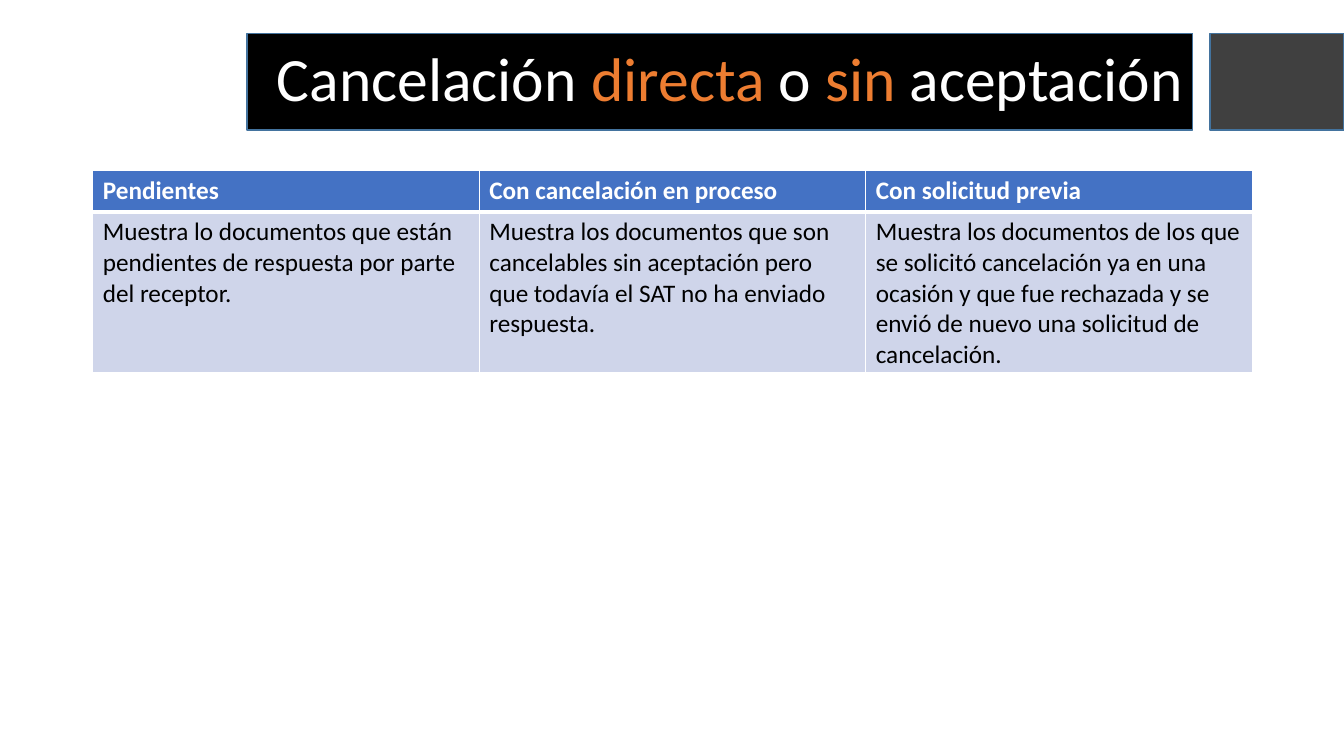
from lxml.etree import SubElement
from pptx import Presentation
from pptx.dml.color import RGBColor
from pptx.enum.shapes import MSO_SHAPE
from pptx.enum.text import MSO_ANCHOR, PP_ALIGN
from pptx.oxml.ns import qn
from pptx.util import Inches, Pt

FONT = "Calibri"
WHITE, BLACK, ORANGE = "FFFFFF", "000000", "ED7D31"
BLUE, PALE_BLUE, GRAY, OUTLINE = "4472C4", "CFD5EA", "404040", "43739E"

TITLE = [
    ("Cancelación ", WHITE),
    ("directa", ORANGE),
    (" o ", WHITE),
    ("sin", ORANGE),
    (" aceptación", WHITE),
]
STATUSES = [
    ("Pendientes",
     "Muestra lo documentos que están pendientes de respuesta por parte del receptor."),
    ("Con cancelación en proceso",
     "Muestra los documentos que son cancelables sin aceptación pero que todavía "
     "el SAT no ha enviado respuesta."),
    ("Con solicitud previa",
     "Muestra los documentos de los que se solicitó cancelación ya en una ocasión "
     "y que fue rechazada y se envió de nuevo una solicitud de cancelación."),
]


def color(value):
    return RGBColor.from_string(value)


def add_run(paragraph, text, size, text_color, bold=False):
    run = paragraph.add_run()
    run.text = text
    run.font.name = FONT
    run.font.size = Pt(size)
    run.font.bold = bold
    run.font.color.rgb = color(text_color)


def add_bar(slide, left, top, width, height, fill):
    shape = slide.shapes.add_shape(
        MSO_SHAPE.RECTANGLE, Inches(left), Inches(top), Inches(width), Inches(height))
    shape.shadow.inherit = False
    shape.fill.solid()
    shape.fill.fore_color.rgb = color(fill)
    shape.line.color.rgb = color(OUTLINE)
    shape.line.width = Pt(1)


def add_header(slide, left, top, width, height):
    tab_width, gap, inset = 1.33, 0.17, 0.07
    title_width = width - tab_width - gap
    add_bar(slide, left + width - tab_width, top, tab_width, height, GRAY)
    add_bar(slide, left, top, title_width, height, BLACK)
    title = slide.shapes.add_textbox(
        Inches(left), Inches(top + inset), Inches(title_width), Inches(height - 2 * inset))
    frame = title.text_frame
    frame.word_wrap = True
    frame.vertical_anchor = MSO_ANCHOR.MIDDLE
    paragraph = frame.paragraphs[0]
    paragraph.alignment = PP_ALIGN.RIGHT
    paragraph.line_spacing = 0.9
    for text, text_color in TITLE:
        add_run(paragraph, text, 44, text_color)


def set_borders(cell, widths):
    properties = cell._tc.get_or_add_tcPr()
    for side, width in widths.items():
        line = SubElement(properties, qn(f"a:ln{side}"), w=str(Pt(width)))
        fill = SubElement(line, qn("a:solidFill"))
        SubElement(fill, qn("a:srgbClr"), val=WHITE)


def fill_cell(cell, text, fill, text_color, bold, widths):
    set_borders(cell, widths)
    cell.fill.solid()
    cell.fill.fore_color.rgb = color(fill)
    add_run(cell.text_frame.paragraphs[0], text, 18, text_color, bold)


def add_status_table(slide, left, top, width, height):
    heading_height = 0.41
    table = slide.shapes.add_table(
        2, len(STATUSES), Inches(left), Inches(top), Inches(width), Inches(height)).table
    table.rows[0].height = Inches(heading_height)
    table.rows[1].height = Inches(height - heading_height)
    for index, (heading, description) in enumerate(STATUSES):
        fill_cell(table.cell(0, index), heading, BLUE, WHITE, True,
                  {"L": 1, "R": 1, "T": 1, "B": 3})
        fill_cell(table.cell(1, index), description, PALE_BLUE, BLACK, False,
                  {"L": 1, "R": 1, "T": 3, "B": 1})


def main():
    presentation = Presentation()
    presentation.slide_width = Inches(13.33)
    presentation.slide_height = Inches(7.5)
    slide = presentation.slides.add_slide(presentation.slide_layouts[6])
    add_header(slide, 2.45, 0.33, 10.88, 0.96)
    add_status_table(slide, 0.92, 1.69, 11.5, 2.01)
    presentation.save("out.pptx")


if __name__ == "__main__":
    main()
